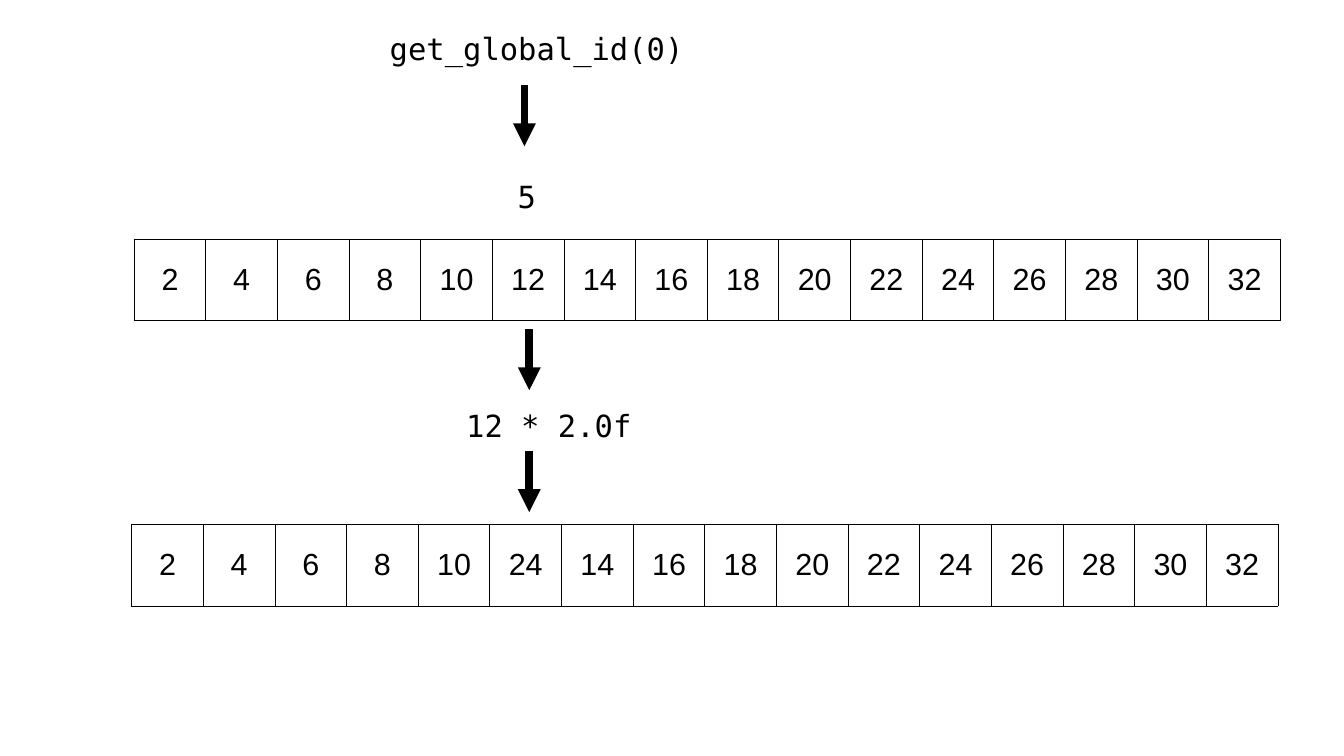
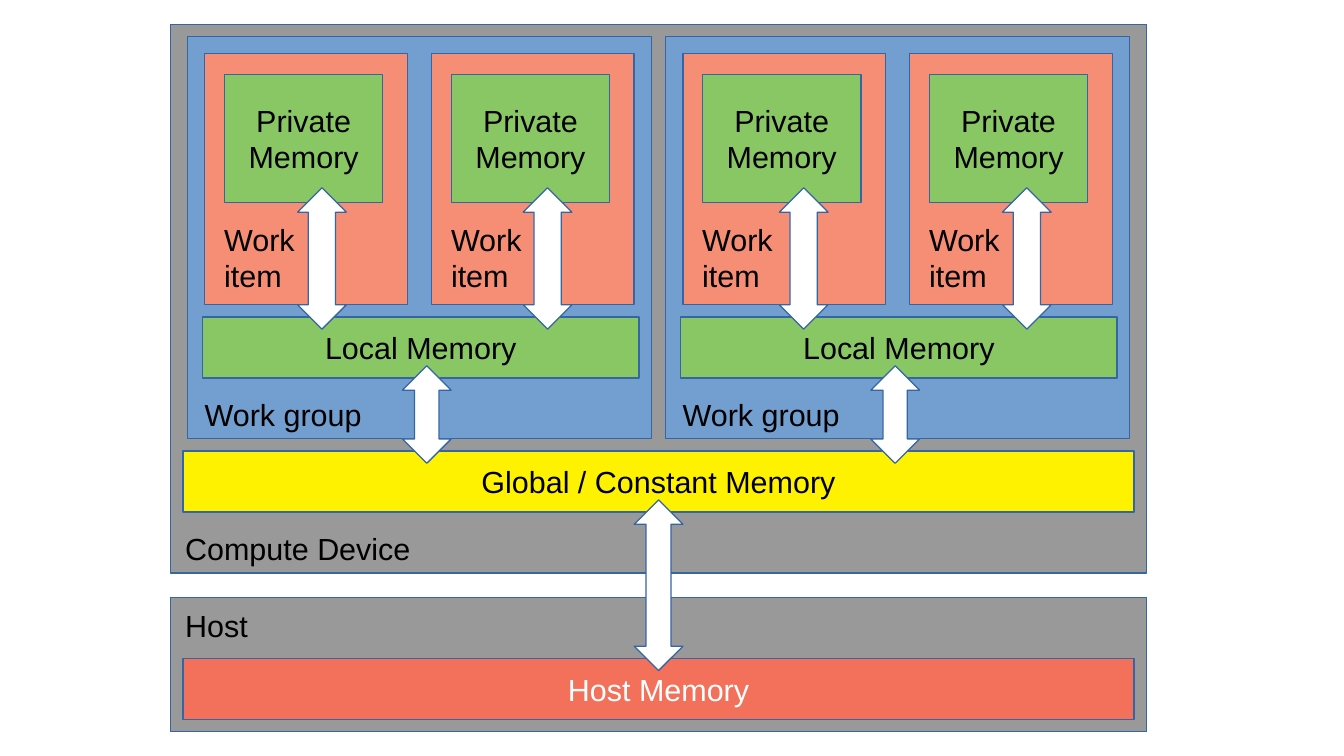
import pptx
import pptx.dml.color
import pptx.enum.shapes
import pptx.enum.text
import pptx.oxml
import pptx.oxml.ns
import pptx.util

PX = 9144
BLACK = pptx.dml.color.RGBColor(0x00, 0x00, 0x00)
WHITE = pptx.dml.color.RGBColor(0xFF, 0xFF, 0xFF)
GRAY = pptx.dml.color.RGBColor(0x99, 0x99, 0x99)
RED = pptx.dml.color.RGBColor(0xF3, 0x71, 0x5A)
YELLOW = pptx.dml.color.RGBColor(0xFF, 0xF2, 0x00)
BLUE = pptx.dml.color.RGBColor(0x72, 0x9F, 0xCF)
GREEN = pptx.dml.color.RGBColor(0x89, 0xC7, 0x65)
SALMON = pptx.dml.color.RGBColor(0xF6, 0x8E, 0x76)
OUTLINE = pptx.dml.color.RGBColor(0x34, 0x65, 0xA4)

SHAPES = pptx.enum.shapes.MSO_SHAPE
LEFT = pptx.enum.text.PP_ALIGN.LEFT
CENTER = pptx.enum.text.PP_ALIGN.CENTER
MIDDLE = pptx.enum.text.MSO_ANCHOR.MIDDLE
FIT = pptx.enum.text.MSO_AUTO_SIZE.SHAPE_TO_FIT_TEXT
FONT_FORMAT = {"name": "Arial", "size": pptx.util.Pt(18), "bold": False}
LABEL_FORMAT = {"word_wrap": True, "auto_size": FIT}
BLOCK_FORMAT = {"word_wrap": False, "vertical_anchor": MIDDLE}


def write_text(frame, text, alignment=CENTER, color=BLACK, font_name="Arial", frame_format={}):
    for name, value in frame_format.items():
        setattr(frame, name, value)
    frame.text = text
    for paragraph in frame.paragraphs:
        paragraph.alignment = alignment
        for name, value in {**FONT_FORMAT, "name": font_name}.items():
            setattr(paragraph.font, name, value)
        paragraph.font.color.rgb = color


def add_block(shapes, box, fill, text="", color=BLACK, kind=SHAPES.RECTANGLE):
    shape = shapes.add_shape(kind, *[PX * length for length in box])
    shape.shadow.inherit = False
    shape.fill.solid()
    shape.fill.fore_color.rgb = fill
    shape.line.color.rgb = OUTLINE
    shape.line.width = pptx.util.Pt(0)
    if text:
        write_text(shape.text_frame, text, color=color, frame_format=BLOCK_FORMAT)
    return shape


presentation = pptx.Presentation()
presentation.slide_width = 1102 * PX
presentation.slide_height = 620 * PX
blank_layout = presentation.slide_layouts[6]

slide = presentation.slides.add_slide(blank_layout)
for text, left, top in [("get_global_id(0)", 190, 20), ("5", 182, 141), ("12 * 2.0f", 200, 329)]:
    label = slide.shapes.add_textbox(left * PX, top * PX, 500 * PX, 39 * PX)
    write_text(label.text_frame, text, font_name="DejaVu Sans Mono", frame_format=LABEL_FORMAT)

input_values = list(range(2, 33, 2))
output_values = input_values.copy()
output_values[5] *= 2
BORDER = (
    '<a:{} {} w="7200"><a:solidFill><a:srgbClr val="{}"/></a:solidFill></a:{}>'
)
for values, left, top in [(input_values, 110, 196), (output_values, 108, 430)]:
    frame = slide.shapes.add_table(1, len(values), left * PX, top * PX, 940 * PX, 67 * PX)
    table = frame.table
    table.first_row = False
    table.horz_banding = False
    for column, value in enumerate(values):
        table.columns[column].width = 940 * PX // len(values)
        cell = table.cell(0, column)
        cell.vertical_anchor = MIDDLE
        write_text(cell.text_frame, str(value))
        properties = cell._tc.get_or_add_tcPr()
        for side in ("lnL", "lnR", "lnT", "lnB"):
            border = BORDER.format(side, pptx.oxml.ns.nsdecls("a"), BLACK, side)
            properties.append(pptx.oxml.parse_xml(border))
        cell.fill.background()

for x, top in [(430, 70), (434, 270), (434, 370)]:
    arrow = slide.shapes.add_connector(
        pptx.enum.shapes.MSO_CONNECTOR.STRAIGHT, x * PX, top * PX, x * PX, (top + 50) * PX
    )
    arrow.line.color.rgb = BLACK
    arrow.line.width = pptx.util.Pt(4.5)
    line = arrow.line._get_or_add_ln()
    line.append(pptx.oxml.parse_xml(f'<a:tailEnd {pptx.oxml.ns.nsdecls("a")} type="triangle"/>'))
    effects = pptx.oxml.parse_xml(f'<a:effectLst {pptx.oxml.ns.nsdecls("a")}/>')
    arrow._element.spPr.append(effects)

slide = presentation.slides.add_slide(blank_layout)
add_block(slide.shapes, (140, 20, 800, 450), GRAY)
add_block(slide.shapes, (140, 490, 800, 110), GRAY)
add_block(slide.shapes, (150, 540, 780, 50), RED, "Host Memory", WHITE)
add_block(slide.shapes, (150, 370, 780, 50), YELLOW, "Global / Constant Memory")
for text, top in [("Compute Device", 430), ("Host", 493)]:
    label = slide.shapes.add_textbox(142 * PX, top * PX, 250 * PX, 38 * PX)
    write_text(label.text_frame, text, LEFT, frame_format=LABEL_FORMAT)

for group_left in (154, 546):
    work_group = slide.shapes.add_group_shape()
    add_block(work_group.shapes, (group_left, 30, 380, 330), BLUE)
    add_block(work_group.shapes, (group_left + 12, 260, 358, 50), GREEN, "Local Memory")
    label = work_group.shapes.add_textbox((group_left + 4) * PX, 320 * PX, 250 * PX, 38 * PX)
    write_text(label.text_frame, "Work group", LEFT, frame_format=LABEL_FORMAT)
    for item_left in (group_left + 14, group_left + 200):
        add_block(work_group.shapes, (item_left, 44, 166, 206), SALMON)
        label = work_group.shapes.add_textbox((item_left + 6) * PX, 176 * PX, 140 * PX, 69 * PX)
        write_text(label.text_frame, "Work\nitem", LEFT, frame_format=LABEL_FORMAT)
        add_block(work_group.shapes, (item_left + 16, 61, 130, 105), GREEN, "Private\nMemory")

for lefts, top, height, shaft, head in [
    ((520,), 410, 140, 0.46, 0.51),
    ((330, 714), 300, 80, 0.46, 0.5),
    ((244, 429, 639, 822), 154, 116, 0.51, 0.56),
]:
    for left in lefts:
        arrow = add_block(slide.shapes, (left, top, 40, height), WHITE, kind=SHAPES.UP_DOWN_ARROW)
        arrow.adjustments[0] = shaft
        arrow.adjustments[1] = head

presentation.save("out.pptx")
